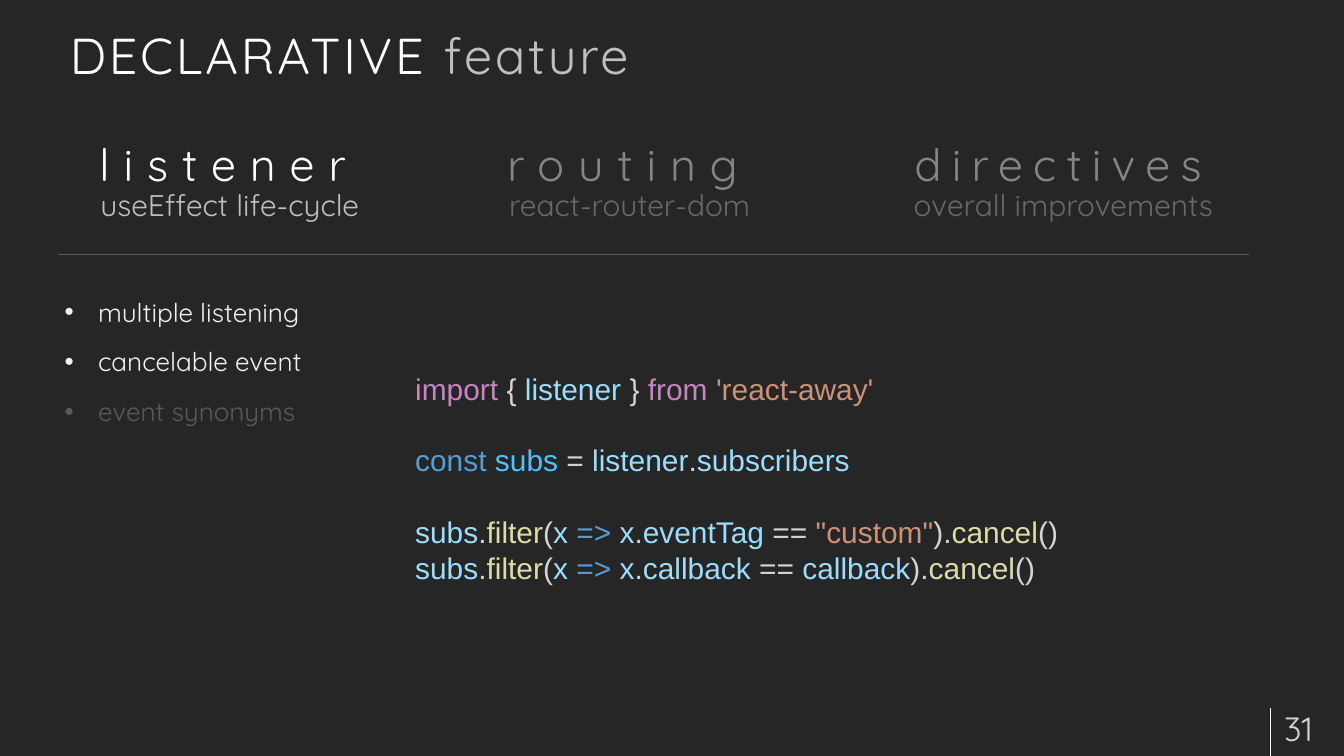
from pptx import Presentation
from pptx.dml.color import RGBColor
from pptx.enum.shapes import MSO_CONNECTOR, MSO_SHAPE
from pptx.enum.text import MSO_ANCHOR, MSO_AUTO_SIZE, PP_ALIGN
from pptx.oxml.ns import qn
from pptx.util import Inches, Pt
from lxml.etree import SubElement

COLORS = {
    "back": "262626", "white": "FFFFFF", "soft": "BFBFBF", "light": "F2F2F2",
    "dim": "595959", "page": "D4D4D4", "plain": "D4D4D4", "keyword": "C586C0",
    "name": "9CDCFE", "string": "CE9178", "storage": "569CD6",
    "constant": "4FC1FF", "call": "DCDCAA",
}
TITLE = [("DECLARATIVE ", "white"), ("feature", "soft")]
TABS = [
    ("listener", "useEffect life-cycle", 1.23, 4.38, 15),
    ("routing", "react-router-dom", 7.33, 4.08, 15),
    ("directives", "overall improvements", 13.23, 5.19, 11),
]
BULLETS = [("multiple listening", "light"), ("cancelable event", "light"),
           ("event synonyms", "dim")]
LINES = [((0.86, 3.79), (18.58, 3.79), "dim"),
         ((18.9, 10.54), (18.9, 11.25), "white")]


def filter_call(field, value, kind):
    return [("subs", "name"), (".", "plain"), ("filter", "call"), ("(", "plain"),
            ("x ", "name"), ("=> ", "storage"), ("x", "name"), (".", "plain"),
            (field, "name"), (" == ", "plain"), (value, kind), (").", "plain"),
            ("cancel", "call"), ("()", "plain")]


CODE = [  # tokens, blank lines above
    ([("import", "keyword"), (" { ", "plain"), ("listener", "name"),
      (" } ", "plain"), ("from ", "keyword"), ("'react-away'", "string")], 0),
    ([("const ", "storage"), ("subs", "constant"), (" = ", "plain"),
      ("listener", "name"), (".", "plain"), ("subscribers", "name")], 1),
    (filter_call("eventTag", '"custom"', "string"), 1),
    (filter_call("callback", "callback", "name"), 0),
]
CODE_PITCH = 38.4


def rgb(name):
    return RGBColor.from_string(COLORS[name])


def add_text(p, text, size=32, color="white", font="Quicksand", spacing=0):
    r = p.add_run()
    r.text = text
    r.font.size = Pt(size)
    r.font.name = font
    r.font.color.rgb = rgb(color)
    r._r.get_or_add_rPr().set("spc", str(spacing * 100))


def place(sp, x, y, w, h, anchor=MSO_ANCHOR.TOP, inset=(0.1, 0.05)):
    sp.left, sp.top, sp.width, sp.height = map(Inches, (x, y, w, h))
    tf = sp.text_frame
    tf.word_wrap = True
    tf.auto_size = MSO_AUTO_SIZE.NONE
    tf.vertical_anchor = anchor
    tf.margin_left = tf.margin_right = Inches(inset[0])
    tf.margin_top = tf.margin_bottom = Inches(inset[1])
    return tf


def add_box(s, *box, **layout):
    return place(s.shapes.add_textbox(0, 0, 0, 0), *box, **layout)


def next_paragraph(tf, i):
    return tf.add_paragraph() if i else tf.paragraphs[0]


def main():
    prs = Presentation()
    prs.slide_width, prs.slide_height = Inches(20), Inches(11.25)
    s = prs.slides.add_slide(prs.slide_layouts[1])
    s.background.fill.solid()
    s.background.fill.fore_color.rgb = rgb("back")

    tf = place(s.shapes.title, 0.86, 0, 18, 1.35, MSO_ANCHOR.BOTTOM, (0.18, 0.09))
    p = tf.paragraphs[0]
    p.alignment = PP_ALIGN.LEFT
    for text, color in TITLE:
        add_text(p, text, size=54, color=color, spacing=3)

    tf = place(s.placeholders[1], 0.86, 4.12, 4.75, 4.25)
    for i, (text, color) in enumerate(BULLETS):
        p = next_paragraph(tf, i)
        pPr = p._p.get_or_add_pPr()
        pPr.set("marL", str(Inches(0.5)))
        pPr.set("indent", str(Inches(-0.5)))
        SubElement(pPr, qn("a:buFont")).set("typeface", "Arial")
        SubElement(pPr, qn("a:buChar")).set("char", "•")
        p.line_spacing = 1.5
        p.space_before = Pt(3 if i else 0)
        add_text(p, text, size=28, color=color)

    for heading, detail, x, width, spacing in TABS:
        p = add_box(s, x, 2.07, width, 1.29).paragraphs[0]
        p.alignment = PP_ALIGN.CENTER
        p.line_spacing = 0.9
        add_text(p, heading, size=48, spacing=spacing)
        p.add_line_break()
        add_text(p, detail, color="soft")

    veil = s.shapes.add_shape(MSO_SHAPE.RECTANGLE, Inches(7.33), Inches(1.75),
                              Inches(11.08), Inches(1.82))
    veil.shadow.inherit = False
    veil.line.fill.background()
    veil.fill.solid()
    veil.fill.fore_color.rgb = rgb("back")
    srgb = veil._element.spPr.find(qn("a:solidFill")).find(qn("a:srgbClr"))
    SubElement(srgb, qn("a:alpha")).set("val", "56000")

    for start, end, color in LINES:
        line = s.shapes.add_connector(MSO_CONNECTOR.STRAIGHT,
                                      *map(Inches, start + end))
        line.line.color.rgb = rgb(color)
        line.line.width = Pt(0.75)
        SubElement(line._element.spPr, qn("a:effectLst"))

    tf = add_box(s, 6.08, 5.46, 12.75, 3.33)
    for i, (tokens, blanks) in enumerate(CODE):
        p = next_paragraph(tf, i)
        p.line_spacing = Pt(CODE_PITCH)
        p.space_before = Pt(CODE_PITCH * blanks)
        for text, color in tokens:
            add_text(p, text, color=color, font="Arial")

    tf = add_box(s, 18.93, 10.54, 1.15, 0.6, anchor=MSO_ANCHOR.MIDDLE,
                 inset=(0.18, 0.09))
    add_text(tf.paragraphs[0], "31", size=36, color="page")

    prs.save("out.pptx")


if __name__ == "__main__":
    main()
